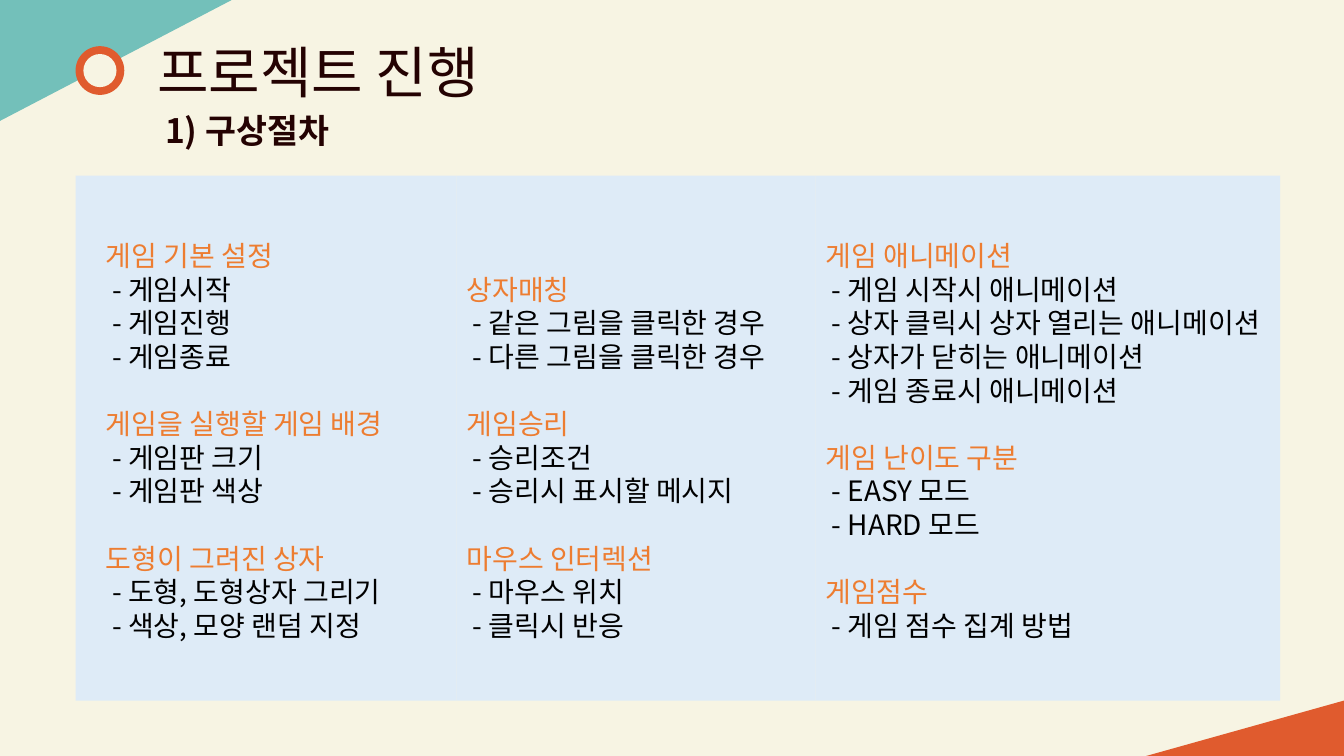
from pptx import Presentation, util as u
from pptx.dml.color import RGBColor
from pptx.enum import shapes, text
from pptx.oxml.ns import qn

CELL = u.Pt(6)
COLS, ROWS = 160, 90
FONT = "Noto Sans CJK KR"
CREAM, TEAL, RUST, DARK = "F7F4E3", "73C0BA", "E05B2E", "240202"
PALE, ORANGE, BLACK = "DEEBF7", "ED7D31", "000000"

COLUMNS = [
    (45.36, 2.4, 0, [
        ("게임 기본 설정", ["게임시작", "게임진행", "게임종료"]),
        ("게임을 실행할 게임 배경", ["게임판 크기", "게임판 색상"]),
        ("도형이 그려진 상자", ["도형, 도형상자 그리기", "색상, 모양 랜덤 지정"]),
    ]),
    (42.72, 0, 1, [
        ("상자매칭", ["같은 그림을 클릭한 경우", "다른 그림을 클릭한 경우"]),
        ("게임승리", ["승리조건", "승리시 표시할 메시지"]),
        ("마우스 인터렉션", ["마우스 위치", "클릭시 반응"]),
    ]),
    (55.32, 0, 0, [
        ("게임 애니메이션", ["게임 시작시 애니메이션", "상자 클릭시 상자 열리는 애니메이션",
                       "상자가 닫히는 애니메이션", "게임 종료시 애니메이션"]),
        ("게임 난이도 구분", ["EASY 모드", "HARD 모드"]),
        ("게임점수", ["게임 점수 집계 방법"]),
    ]),
]


def g(n):
    return round(n * CELL)


def rgb(value):
    return RGBColor.from_string(value)


def paint(sp, color):
    sp.shadow.inherit = False
    sp.fill.solid()
    sp.fill.fore_color.rgb = rgb(color)
    sp.line.fill.background()
    return sp


def preset(parent, kind, box, color):
    return paint(parent.add_shape(kind, *map(g, box)), color)


def frame(sp, left, top, right):
    tf = sp.text_frame
    tf.word_wrap = True
    tf.vertical_anchor = text.MSO_ANCHOR.TOP
    tf.margin_left, tf.margin_top, tf.margin_right = g(left), g(top), g(right)
    tf.margin_bottom = 0
    return tf


def write(p, words, size, color, pitch, bold=False, align=text.PP_ALIGN.LEFT):
    p.alignment = align
    p.line_spacing = u.Pt(pitch)
    r = p.add_run()
    r.text = words
    f = r.font
    f.name, f.size, f.bold = FONT, u.Pt(size), bold
    f.color.rgb = rgb(color)
    ea = r._r.get_or_add_rPr().makeelement(qn("a:ea"), {"typeface": FONT})
    f._element.find(qn("a:latin")).addnext(ea)


def wedge(s, box, corners, color):
    x, y, w, h = box
    points = [(g(x + w * a), g(y + h * b)) for a, b in corners]
    fb = s.shapes.build_freeform(*points[0])
    fb.add_line_segments(points[1:])
    paint(fb.convert_to_shape(), color)


def ring(s, box):
    x, y, w, h = box
    group = s.shapes.add_group_shape()
    for inset, color in ((0, RUST), (0.16, CREAM)):
        inner = (x + w * inset, y + h * inset, w * (1 - 2 * inset), h * (1 - 2 * inset))
        preset(group.shapes, shapes.MSO_SHAPE.OVAL, inner, color)


def label(s, box, words, size, pitch, top, **style):
    tf = frame(s.shapes.add_textbox(*map(g, box)), 1.2, top, 1.2)
    write(tf.paragraphs[0], words, size, DARK, pitch, **style)


def column(s, box, indent, first_row, topics):
    sp = preset(s.shapes, shapes.MSO_SHAPE.RECTANGLE, box, PALE)
    tf = frame(sp, 1.2 + indent, 7.5 + 4 * first_row, 2.4)
    p = tf.paragraphs[0]
    for i, (heading, items) in enumerate(topics):
        if i:
            p = tf.add_paragraph()
            p.space_before = u.Pt(24)
        write(p, heading, 20, ORANGE, 24)
        for item in items:
            write(tf.add_paragraph(), " - " + item, 20, BLACK, 24)


def panel(s, box):
    x, y, w, h = box
    total = sum(share for share, *_ in COLUMNS)
    for share, indent, first_row, topics in COLUMNS:
        width = w * share / total
        column(s, (x, y, width, h), indent, first_row, topics)
        x += width


prs = Presentation()
prs.slide_width, prs.slide_height = g(COLS), g(ROWS)
s = prs.slides.add_slide(prs.slide_layouts[6])
s.background.fill.solid()
s.background.fill.fore_color.rgb = rgb(CREAM)

wedge(s, (0, 0, 27.6, 14.4), [(0, 0), (1, 0), (0, 1)], TEAL)
label(s, (10.92, 3.36, 53.88, 9.24), "프로젝트 진행", 40, 48, 1.1, align=text.PP_ALIGN.CENTER)
ring(s, (9, 5.5, 5.8, 5.8))
label(s, (18.48, 9.84, 135.36, 8.52), "1) 구상절차", 24, 43, 0.85, bold=True)
wedge(s, (136.44, 83.4, 23.56, 6.6), [(1, 0), (1, 1), (0, 1)], RUST)
panel(s, (9, 20.9, 143.4, 62.5))

prs.save("out.pptx")
